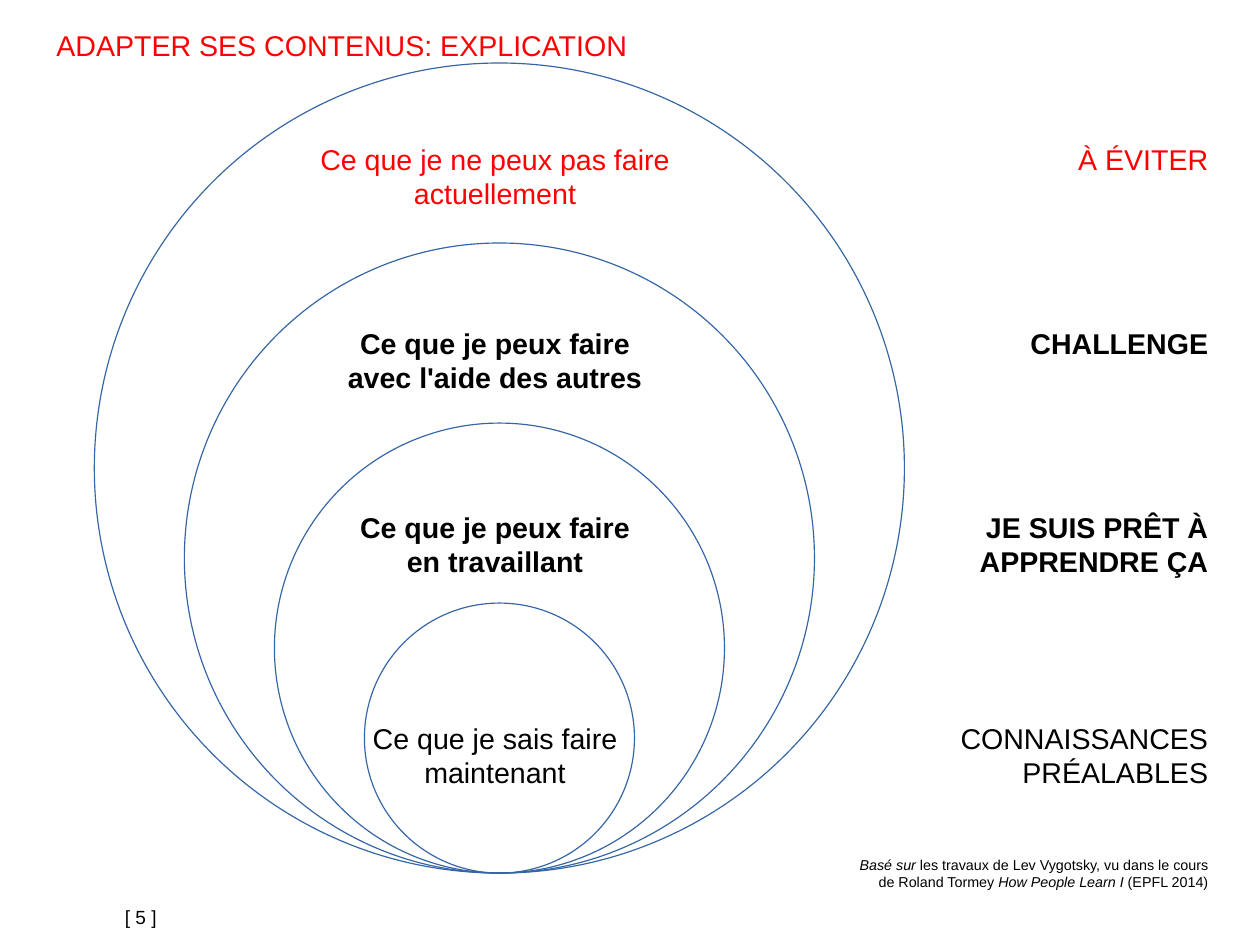
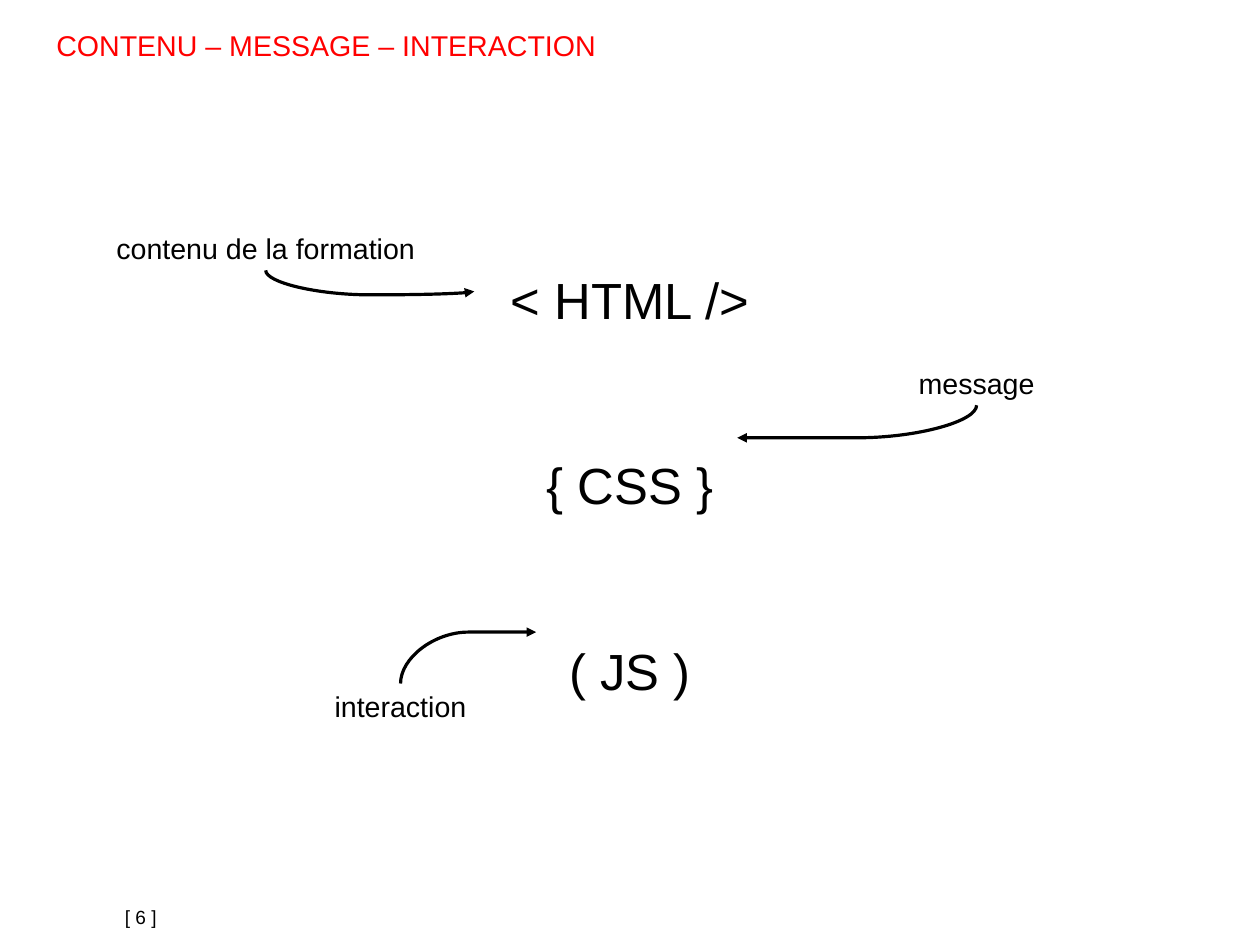
import pptx
import pptx.dml.color
import pptx.enum.shapes
import pptx.enum.text
import pptx.oxml
import pptx.oxml.ns
import pptx.util

Pt = pptx.util.Pt
Align = pptx.enum.text.PP_ALIGN
Kind = pptx.enum.shapes

# Shared style
PAGE_SIZE = (793.7, 595.3)
FONT = "Arial"
RED, BLACK, BLUE = "FF0000", "000000", "3465A4"
TITLE_BOX = (28.3, 14.2, 425.2, 27.6)
NUMBER_BOX = (71.6, 566.9, 100, 21)
TITLE_ONLY, TITLE_AND_BODY = 5, 1


def color(hex_string):
    return pptx.dml.color.RGBColor.from_string(hex_string)


def place(shape, box):
    shape.left, shape.top, shape.width, shape.height = map(Pt, box)


def write(shape, paragraphs, size=18, hue=BLACK, bold=False, align=Align.LEFT):
    """Fill a shape with paragraphs, each a list of (text, italic) spans or a string."""
    frame = shape.text_frame
    frame.word_wrap = True
    frame.auto_size = pptx.enum.text.MSO_AUTO_SIZE.NONE
    frame.vertical_anchor = pptx.enum.text.MSO_ANCHOR.TOP
    for index, spans in enumerate(paragraphs):
        para = frame.add_paragraph() if index else frame.paragraphs[0]
        para.alignment = align
        para.font.name, para.font.size, para.font.bold = FONT, Pt(size), bold
        para.font.color.rgb = color(hue)
        if isinstance(spans, str):
            spans = [(spans, False)]
        for text, italic in spans:
            span = para.add_run()
            span.text = text
            if italic:
                span.font.italic = True


def add_text(page, box, paragraphs, **style):
    write(page.shapes.add_textbox(*map(Pt, box)), paragraphs, **style)


def start_page(deck, layout, title, number):
    page = deck.slides.add_slide(deck.slide_layouts[layout])
    place(page.shapes.title, TITLE_BOX)
    write(page.shapes.title, [title], hue=RED)
    add_text(page, NUMBER_BOX, [f"[ {number} ]"], size=12)
    return page


# Nested learning zones
def draw_circles(page, center, bottom, smallest, step, count):
    for index in reversed(range(count)):
        size = smallest + index * step
        circle = page.shapes.add_shape(
            Kind.MSO_SHAPE.OVAL, Pt(center - size / 2), Pt(bottom - size), Pt(size), Pt(size))
        circle.shadow.inherit = False
        circle.fill.background()
        circle.line.color.rgb = color(BLUE)
        circle.line.width = Pt(0)


def draw_zone_labels(page, center, right, zones):
    for top, width, hue, bold, zone, advice in zones:
        style = dict(hue=hue, bold=bold)
        add_text(page, (center - width / 2, top, width, 47.5), zone, align=Align.CENTER, **style)
        add_text(page, (right - width, top, width, 47.5), advice, align=Align.RIGHT, **style)


def build_zones(deck):
    page = start_page(deck, TITLE_ONLY, "ADAPTER SES CONTENUS: EXPLICATION", 5)
    draw_circles(page, center=314.6, bottom=550, smallest=170.1, step=113.4, count=4)
    draw_zone_labels(page, center=311.8, right=768.2, zones=[
        (85.7, 238.3, RED, False,
         ["Ce que je ne peux pas faire", "actuellement"], ["À ÉVITER"]),
        (201.6, 232.6, BLACK, True,
         ["Ce que je peux faire", "avec l'aide des autres"], ["CHALLENGE"]),
        (317.5, 209.5, BLACK, True,
         ["Ce que je peux faire en travaillant"], ["JE SUIS PRÊT À APPRENDRE ÇA"]),
        (450.7, 172.8, BLACK, False,
         ["Ce que je sais faire maintenant"], ["CONNAISSANCES", "PRÉALABLES"]),
    ])
    source = [("Basé sur", True),
              (" les travaux de Lev Vygotsky, vu dans le cours de Roland Tormey ", False),
              ("How People Learn I", True), (" (EPFL 2014)", False)]
    add_text(page, (532.8, 535.7, 235.4, 37.4), [source], size=9, align=Align.RIGHT)


# Languages and their roles
def draw_arrow(page, start, end, bend):
    """Curve that leaves start vertically and reaches end horizontally."""
    (x1, y1), (x2, y2) = start, end
    x, y, dx, dy = (x1 + x2) / 2, (y1 + y2) / 2, x2 - x1, y2 - y1
    # The preset leaves horizontally, so it is laid out a quarter turn away
    turn = -1 if dx > 0 and dy > 0 else 1
    arrow = page.shapes.add_connector(
        Kind.MSO_CONNECTOR.CURVE,
        Pt(x - turn * dy / 2), Pt(y + turn * dx / 2),
        Pt(x + turn * dy / 2), Pt(y - turn * dx / 2))
    arrow.line.color.rgb = color(BLACK)
    arrow.line.width = Pt(0)
    qn, add = pptx.oxml.ns.qn, pptx.oxml.xmlchemy.OxmlElement
    properties = arrow._element.spPr
    properties.find(qn("a:xfrm")).set("rot", str(turn % 4 * 5400000))
    guide = add("a:gd")
    guide.set("name", "adj1")
    guide.set("fmla", f"val {round(bend * 100000)}")
    properties.find(qn("a:prstGeom")).find(qn("a:avLst")).append(guide)
    head = add("a:tailEnd")
    head.set("type", "triangle")
    properties.find(qn("a:ln")).append(head)
    properties.append(add("a:effectLst"))


def draw_role(page, role, left, top, tip, bend=1):
    width, height = 221, 28.5
    add_text(page, (left, top, width, height), [role], align=Align.CENTER)
    edge = top if tip[1] < top else top + height
    draw_arrow(page, (left + width / 2, edge), tip, bend)


def draw_languages(body, box, languages):
    place(body, box)
    write(body, languages, size=32, align=Align.CENTER)
    for para in body.text_frame.paragraphs:
        para.space_before, para.space_after = Pt(0), Pt(78.5)
        properties = para._p.get_or_add_pPr()
        properties.set("marL", "0")
        properties.set("indent", "0")
        bullet = pptx.oxml.xmlchemy.OxmlElement("a:buNone")
        properties.find(pptx.oxml.ns.qn("a:spcAft")).addnext(bullet)


def build_languages(deck):
    page = start_page(deck, TITLE_AND_BODY, "CONTENU – MESSAGE – INTERACTION", 6)
    draw_languages(page.placeholders[1], (28.3, 165.4, 737.3, 345),
                   ["< HTML />", "{ CSS }", "( JS )"])
    draw_role(page, "contenu de la formation", 56.9, 141.8, (298.8, 183.6), bend=1.16)
    draw_role(page, "message", 504.7, 226.8, (464.4, 275.8))
    draw_role(page, "interaction", 141.8, 430.6, (337.7, 398.2))


def main():
    deck = pptx.Presentation()
    deck.slide_width, deck.slide_height = map(Pt, PAGE_SIZE)
    build_zones(deck)
    build_languages(deck)
    deck.save("out.pptx")


if __name__ == "__main__":
    main()
